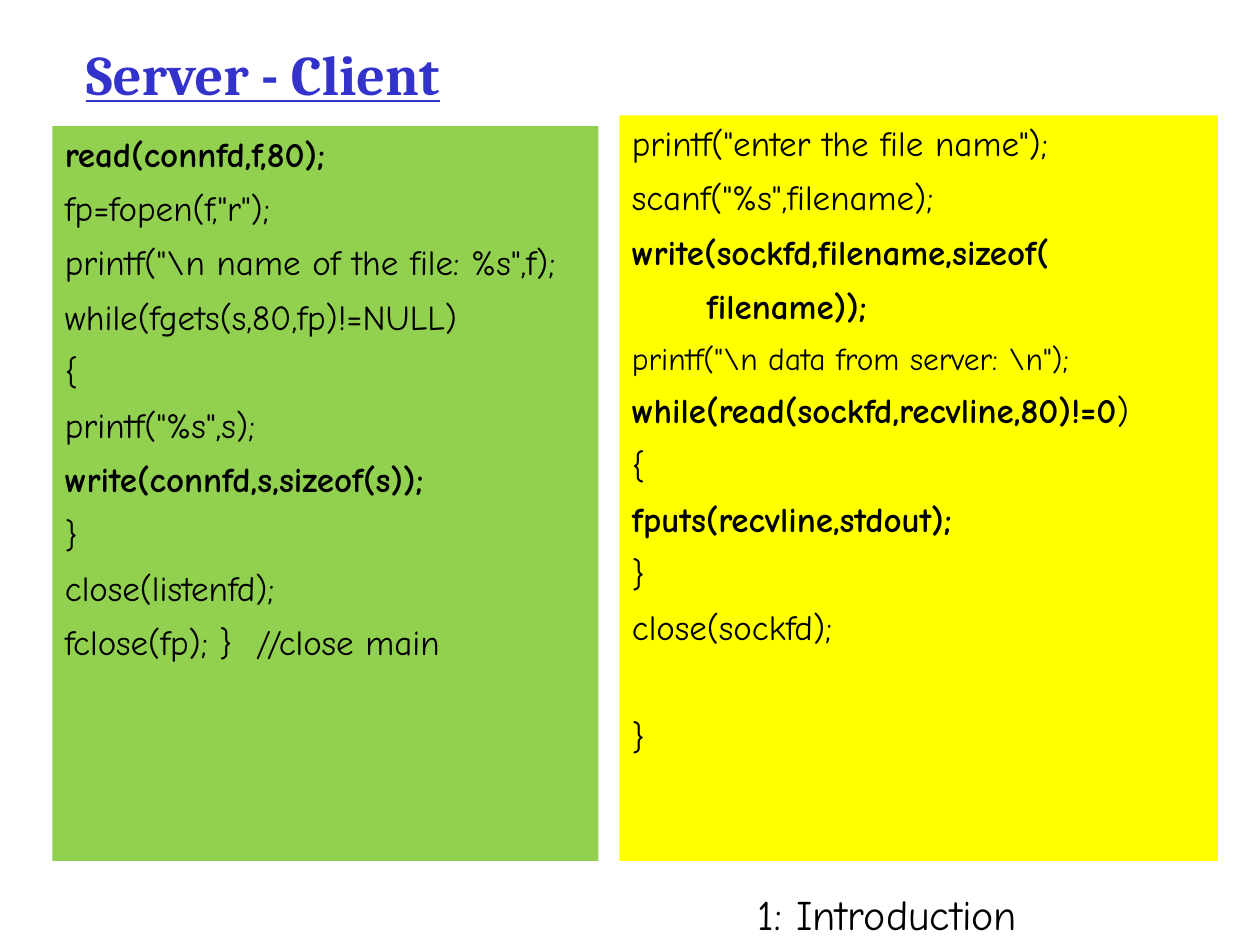
from dataclasses import dataclass

from pptx import Presentation
from pptx.dml.color import RGBColor
from pptx.enum import shapes, text
from pptx.util import Pt


@dataclass(frozen=True)
class Theme:
    """Colours, fonts and type sizes of the slide."""
    heading: str = "3333CC"
    ink: str = "000000"
    server: str = "92D050"
    client: str = "FFFF00"
    title_font: str = "Cambria"
    code_font: str = "Comic Neue"
    title_size: int = 32
    footer_size: int = 24
    code_size: int = 20
    small_size: int = 18
    line_gap: int = 7
    section_gap: int = 38


@dataclass(frozen=True)
class Line:
    """One line of code, with an optional regular-weight tail."""
    code: str
    bold: bool = False
    tail: str = ""
    size: int = Theme.code_size
    gap: int = Theme.line_gap


THEME = Theme()

SERVER_CODE = [
    Line("read(connfd,f,80);", bold=True),
    Line('fp=fopen(f,"r");'),
    Line(r'printf("\n name of the file: %s",f);'),
    Line("while(fgets(s,80,fp)!=NULL)"),
    Line("{"),
    Line('printf("%s",s);'),
    Line("write(connfd,s,sizeof(s));", bold=True),
    Line("}"),
    Line("close(listenfd);"),
    Line("fclose(fp); }  //close main"),
]

CLIENT_CODE = [
    Line('printf("enter the file name");'),
    Line('scanf("%s",filename);'),
    Line("write(sockfd,filename,sizeof(", bold=True),
    Line("      filename));", bold=True),
    Line(r'printf("\n data from server: \n");', size=THEME.small_size),
    Line("while(read(sockfd,recvline,80)!=0", bold=True, tail=")"),
    Line("{"),
    Line("fputs(recvline,stdout);", bold=True),
    Line("}"),
    Line("close(sockfd);"),
    Line("}", gap=THEME.section_gap),
]


def apply(target, values):
    """Set each named attribute of the target."""
    for name, value in values.items():
        setattr(target, name, value)


def place(shape, box):
    """Move a shape to a box of left, top, width and height in points."""
    apply(shape, dict(zip(("left", "top", "width", "height"), map(Pt, box))))


def add_span(para, words, color=THEME.ink, **values):
    """Add a run with the given font values and colour."""
    span = para.add_run()
    span.text = words
    apply(span.font, values)
    span.font.color.rgb = RGBColor.from_string(color)


def add_title(page, box, words):
    """Fill the title placeholder with an underlined heading."""
    place(page.shapes.title, box)
    frame = page.shapes.title.text_frame
    apply(frame, {"auto_size": text.MSO_AUTO_SIZE.NONE,
                  "vertical_anchor": text.MSO_ANCHOR.MIDDLE})
    para = frame.paragraphs[0]
    para.alignment = text.PP_ALIGN.LEFT
    add_span(para, words, THEME.heading, name=THEME.title_font,
             size=Pt(THEME.title_size), bold=True, underline=True)


def add_code_panel(page, box, fill, lines):
    """Draw a filled panel holding lines of code."""
    panel = page.shapes.add_shape(shapes.MSO_SHAPE.RECTANGLE, *map(Pt, box))
    panel.shadow.inherit = False
    panel.fill.solid()
    panel.fill.fore_color.rgb = RGBColor.from_string(fill)
    panel.line.fill.background()
    frame = panel.text_frame
    apply(frame, {"word_wrap": True, "vertical_anchor": text.MSO_ANCHOR.TOP})
    for index, line in enumerate(lines):
        para = frame.add_paragraph() if index else frame.paragraphs[0]
        apply(para, {"alignment": text.PP_ALIGN.LEFT,
                     "space_before": Pt(line.gap if index else 0)})
        values = {"name": THEME.code_font, "size": Pt(line.size)}
        add_span(para, line.code, bold=line.bold, **values)
        if line.tail:
            add_span(para, line.tail, bold=False, **values)


def add_footer(page, box, words):
    """Write the chapter label below the panels."""
    frame = page.shapes.add_textbox(*map(Pt, box)).text_frame
    frame.word_wrap = True
    add_span(frame.paragraphs[0], words, name=THEME.code_font,
             size=Pt(THEME.footer_size))


def main():
    """Build and save the slide."""
    deck = Presentation()
    apply(deck, {"slide_width": Pt(720), "slide_height": Pt(540)})
    page = deck.slides.add_slide(deck.slide_layouts.get_by_name("Title Only"))
    add_title(page, (42, 11.5, 612, 60.5), "Server - Client")
    add_code_panel(page, (30, 72, 312, 420), THEME.server, SERVER_CODE)
    add_code_panel(page, (354, 66, 342, 426), THEME.client, CLIENT_CODE)
    add_footer(page, (426, 504, 228, 36), "1: Introduction")
    deck.save("out.pptx")


if __name__ == "__main__":
    main()
